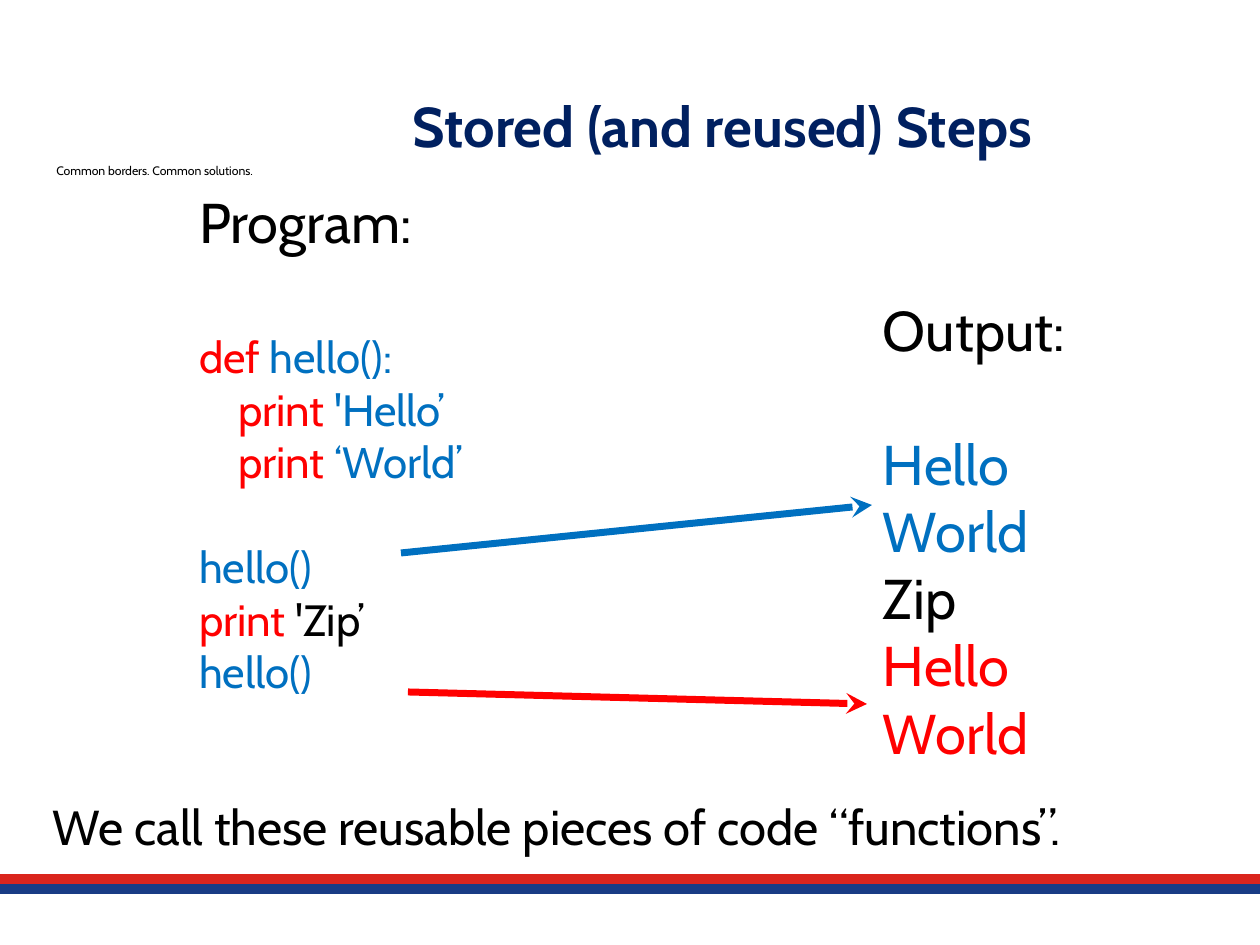
from lxml import etree
from pptx import Presentation
from pptx.dml.color import RGBColor
from pptx.enum.shapes import MSO_CONNECTOR, MSO_SHAPE
from pptx.enum.text import MSO_ANCHOR, MSO_AUTO_SIZE, PP_ALIGN
from pptx.oxml.ns import qn
from pptx.util import Emu, Pt

STRAIGHT = MSO_CONNECTOR.STRAIGHT
RECTANGLE = MSO_SHAPE.RECTANGLE
MIDDLE = MSO_ANCHOR.MIDDLE
FIT_SHAPE = MSO_AUTO_SIZE.SHAPE_TO_FIT_TEXT
CENTER, LEFT = PP_ALIGN.CENTER, PP_ALIGN.LEFT

FONT = "Cabin"
EMU_PER_PX = 914400 / 126
COLORS = {
    "black": "000000",
    "white": "FFFFFF",
    "navy": "002060",
    "blue": "0070C0",
    "red": "FF0000",
    "band_red": "DA251D",
    "band_blue": "193C85",
}


def px(length):
    return Emu(round(length * EMU_PER_PX))


def color(name):
    return RGBColor.from_string(COLORS[name])


def add_span(para, text, size, tint, bold=False):
    span = para.add_run()
    span.text = text
    span.font.name = FONT
    span.font.size = Pt(size)
    span.font.bold = bold
    span.font.color.rgb = color(tint)


def clear_insets(frame):
    frame.margin_left = frame.margin_right = 0
    frame.margin_top = frame.margin_bottom = 0
    frame.vertical_anchor = MIDDLE


def add_lines(frame, lines):
    for number, (size, gap, indent, spans) in enumerate(lines):
        para = frame.add_paragraph() if number else frame.paragraphs[0]
        para.alignment = LEFT
        para.space_before = Pt(gap)
        if indent:
            properties = para._p.get_or_add_pPr()
            properties.set("marL", str(px(indent)))
            properties.set("indent", "0")
        for text, tint in spans:
            add_span(para, text, size, tint)


def add_line(page, start, end, tint, width):
    line = page.shapes.add_connector(
        STRAIGHT, *(px(length) for length in start + end))
    line.line.color.rgb = color(tint)
    line.line.width = Pt(width)
    etree.SubElement(line._element.spPr, qn("a:effectLst"))
    return line


def add_arrow(page, tip, origin, tint):
    arrow = add_line(page, tip, origin, tint, 4)
    head = etree.SubElement(arrow.line._get_or_add_ln(), qn("a:headEnd"))
    head.set("type", "stealth")


def add_textbox(page, box):
    return page.shapes.add_textbox(*(px(length) for length in box)).text_frame


def add_bands(page, box):
    left, top, width, gap = box
    for row, tint in enumerate(("band_red", "band_blue")):
        y = top + row * gap
        add_line(page, (left, y), (left + width, y), tint, 6)


def add_tagline(page, box):
    frame = add_textbox(page, box)
    frame.word_wrap = True
    frame.auto_size = FIT_SHAPE
    add_lines(frame, [(7, 0, 0, [("Common borders. Common solutions.", "black")])])


def add_title(page, box):
    title = page.shapes.title
    title.left, title.top, title.width, title.height = map(px, box)
    title.text_frame.vertical_anchor = MIDDLE
    para = title.text_frame.paragraphs[0]
    para.alignment = CENTER
    add_span(para, "Stored (and reused) Steps", 32, "navy", bold=True)


def add_output(page, box):
    frame = add_textbox(page, box)
    frame.word_wrap = True
    clear_insets(frame)
    results = [("Hello", "blue"), ("World", "blue"), ("Zip", "black"),
               ("Hello", "red"), ("World", "red")]
    lines = [(32, 0, 0, [("Output:", "black")])]
    for number, result in enumerate(results):
        lines.append((32, 0 if number else 38, 0, [result]))
    add_lines(frame, lines)


def add_program(page, box):
    frame = add_textbox(page, box)
    frame.word_wrap = False
    frame.auto_size = FIT_SHAPE
    clear_insets(frame)
    call = [("hello()", "blue")]
    add_lines(frame, [
        (32, 0, 0, [("Program:", "black")]),
        (25, 43, 0, [("def ", "red"), ("hello():", "blue")]),
        (25, 0, 39, [("print ", "red"), ("'Hello’", "blue")]),
        (25, 0, 39, [("print ", "red"), ("‘World’", "blue")]),
        (25, 30, 0, call),
        (25, 0, 0, [("print", "red"), (" 'Zip’", "black")]),
        (25, 0, 0, call),
    ])


def add_summary(page, box):
    panel = page.shapes.add_shape(RECTANGLE, *(px(length) for length in box))
    panel.shadow.inherit = False
    panel.fill.solid()
    panel.fill.fore_color.rgb = color("white")
    panel.line.fill.background()
    frame = panel.text_frame
    frame.word_wrap = False
    frame.auto_size = FIT_SHAPE
    clear_insets(frame)
    text = "We call these reusable pieces of code “functions”."
    add_lines(frame, [(28, 0, 0, [(text, "black")])])


def main():
    deck = Presentation()
    deck.slide_width, deck.slide_height = px(1260), px(945)
    page = deck.slides.add_slide(deck.slide_layouts[5])
    add_bands(page, (0, 879, 1260, 10))
    add_tagline(page, (44, 157, 268, 28))
    add_title(page, (276, 57, 893, 137))
    add_output(page, (883, 272, 436, 517))
    add_program(page, (199, 185, 309, 515))
    add_arrow(page, (872, 505), (401, 553), "blue")
    add_arrow(page, (867, 704), (408, 692), "red")
    add_summary(page, (53, 796, 1121, 59))
    deck.save("out.pptx")


if __name__ == "__main__":
    main()
